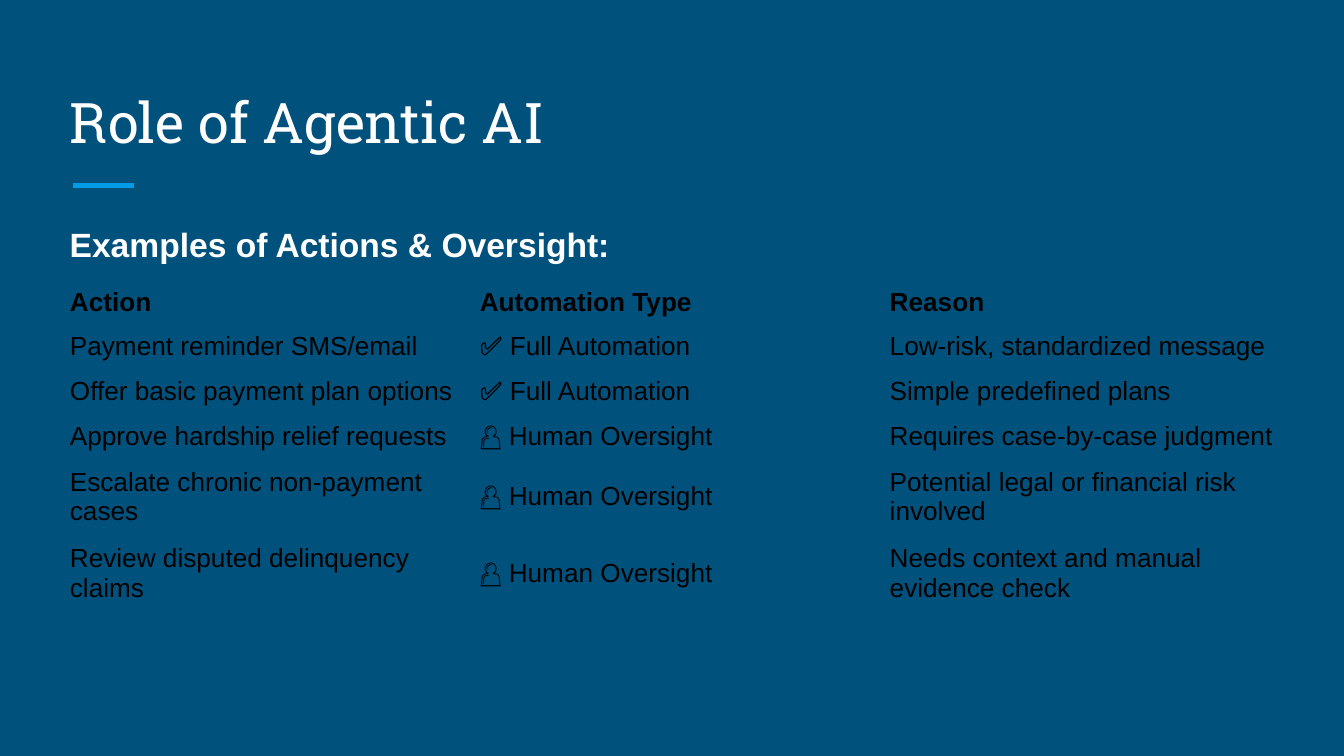
from dataclasses import dataclass

from lxml.etree import SubElement
from pptx import Presentation
from pptx.dml.color import RGBColor
from pptx.enum.shapes import MSO_CONNECTOR
from pptx.enum.text import MSO_ANCHOR as Anchor, PP_ALIGN as Align
from pptx.oxml.ns import qn
from pptx.util import Inches, Pt


@dataclass(frozen=True)
class Theme:
    background: str = "00517C"
    accent: str = "039BE5"
    light: str = "FFFFFF"
    dark: str = "000000"
    title_font: str = "Roboto Slab"
    body_font: str = "Arial"
    title_size: int = 30
    heading_size: int = 18
    table_size: int = 14


theme = Theme()
NO_STYLE_NO_GRID = "{2D5ABB26-0587-4C30-8999-92F81FD0307C}"
LEFT, WIDTH = 0.42, 9.15


def write(frame, text, font, size, color, bold=False):
    para = frame.paragraphs[0]
    para.alignment = Align.LEFT
    span = para.add_run()
    span.text = text
    span.font.name = font
    span.font.size = Pt(size)
    span.font.bold = bold
    span.font.color.rgb = RGBColor.from_string(color)


deck = Presentation()
deck.slide_width = Inches(10)
deck.slide_height = Inches(10 * 9 / 16)
page = deck.slides.add_slide(deck.slide_layouts[5])
page.background.fill.solid()
page.background.fill.fore_color.rgb = RGBColor.from_string(theme.background)

# Accent rule under the title
rule = page.shapes.add_connector(
    MSO_CONNECTOR.STRAIGHT, Inches(0.54), Inches(1.38), Inches(1), Inches(1.38))
rule.line.color.rgb = RGBColor.from_string(theme.accent)
rule.line.width = Pt(3)
SubElement(rule._element.spPr, qn("a:effectLst"))

# Title
title = page.shapes.title
title.left, title.top = Inches(LEFT), Inches(0.5)
title.width, title.height = Inches(WIDTH), Inches(0.75)
frame = title.text_frame
frame.vertical_anchor = Anchor.BOTTOM
frame.margin_left = frame.margin_right = Inches(0.1)
frame.margin_top = frame.margin_bottom = Inches(0.1)
write(frame, "Role of Agentic AI", theme.title_font, theme.title_size, theme.light)

# Actions table
rows = [
    ("Action", "Automation Type", "Reason"),
    ("Payment reminder SMS/email", "✅ Full Automation", "Low-risk, standardized message"),
    ("Offer basic payment plan options", "✅ Full Automation", "Simple predefined plans"),
    ("Approve hardship relief requests", "👤 Human Oversight", "Requires case-by-case judgment"),
    ("Escalate chronic non-payment cases", "👤 Human Oversight",
     "Potential legal or financial risk involved"),
    ("Review disputed delinquency claims", "👤 Human Oversight",
     "Needs context and manual evidence check"),
]
row_heights = [1 / 3] * 4 + [0.57] * 2
table = page.shapes.add_table(
    len(rows), 3, Inches(LEFT), Inches(2.08), Inches(WIDTH), Inches(sum(row_heights))).table
table.first_row = table.horz_banding = False
table._tbl.tblPr.find(qn("a:tableStyleId")).text = NO_STYLE_NO_GRID
for row_index, (texts, height) in enumerate(zip(rows, row_heights)):
    table.rows[row_index].height = Inches(height)
    for column_index, text in enumerate(texts):
        cell = table.cell(row_index, column_index)
        cell.fill.background()
        cell.vertical_anchor = Anchor.MIDDLE
        cell.margin_right = Inches(0.08)
        write(cell.text_frame, text, theme.body_font, theme.table_size, theme.dark,
              bold=row_index == 0)

# Table heading
heading = page.shapes.add_textbox(Inches(LEFT), Inches(1.67), Inches(WIDTH), Inches(0.5))
heading.text_frame.word_wrap = True
heading.text_frame.margin_top = 0
heading.text_frame.vertical_anchor = Anchor.TOP
write(heading.text_frame, "Examples of Actions & Oversight:", theme.body_font,
      theme.heading_size, theme.light, bold=True)

deck.save("out.pptx")
